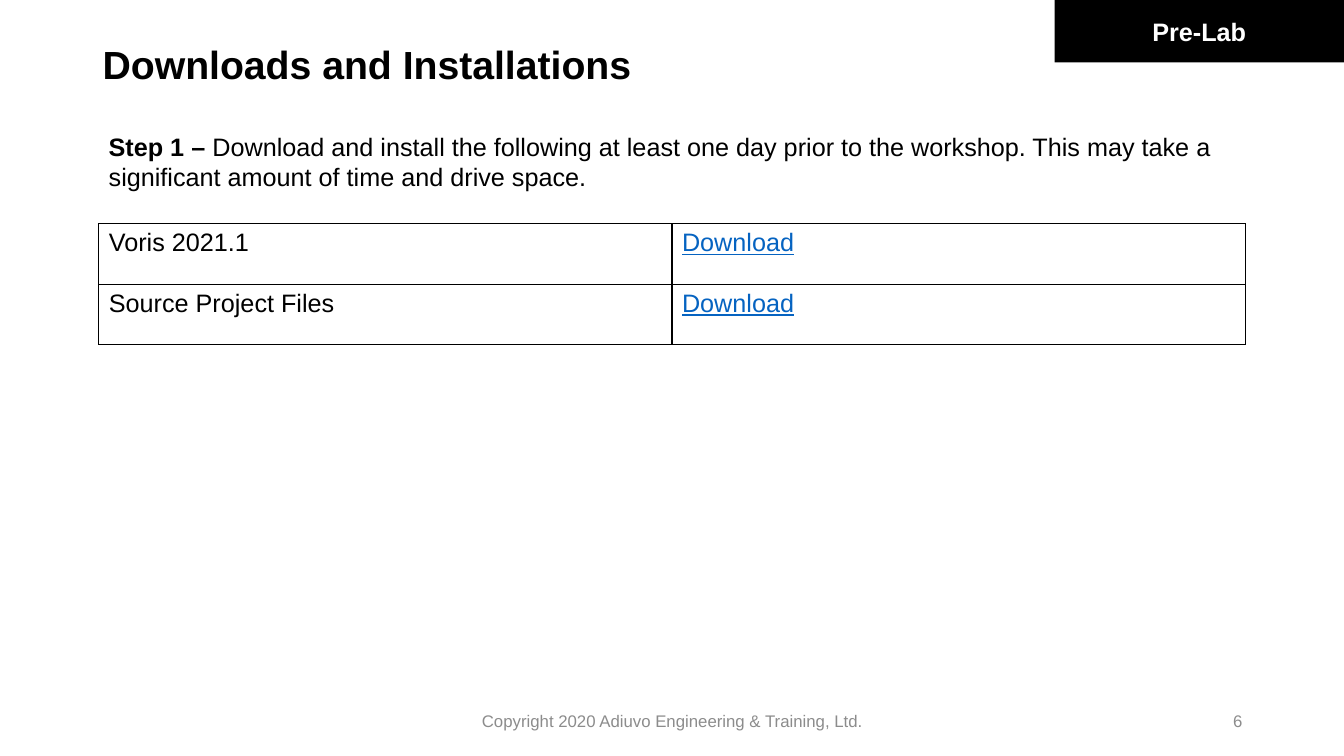
from dataclasses import dataclass

from lxml import etree
from pptx import Presentation
from pptx.dml.color import RGBColor
from pptx.enum.shapes import MSO_SHAPE
from pptx.enum.text import MSO_ANCHOR, PP_ALIGN
from pptx.oxml.ns import qn
from pptx.util import Inches, Pt

RECT = MSO_SHAPE.RECTANGLE
TOP, MIDDLE = MSO_ANCHOR.TOP, MSO_ANCHOR.MIDDLE
LEFT, CENTER, RIGHT = PP_ALIGN.LEFT, PP_ALIGN.CENTER, PP_ALIGN.RIGHT


@dataclass(frozen=True)
class Theme:
    font: str = "Arial"
    black: str = "000000"
    white: str = "FFFFFF"
    link: str = "0563C1"
    muted: str = "8C8C8C"
    title: int = 28
    body: int = 18
    footer: int = 12
    border: int = 1


THEME = Theme()
DOWNLOADS = [("Voris 2021.1", "Download"), ("Source Project Files", "Download")]


def style_run(r, size, color, bold=False, underline=False):
    r.font.name = THEME.font
    r.font.size = Pt(size)
    r.font.color.rgb = RGBColor.from_string(color)
    r.font.bold = bold
    r.font.underline = underline


def add_text(s, box, text, size, color, bold=False, align=LEFT, anchor=TOP):
    tb = s.shapes.add_textbox(*map(Inches, box))
    tf = tb.text_frame
    tf.word_wrap = True
    tf.vertical_anchor = anchor
    p = tf.paragraphs[0]
    p.text = text
    p.alignment = align
    style_run(p.runs[0], size, color, bold)
    return p


def add_title(s, box, text):
    p = add_text(s, box, text, THEME.title, THEME.black, bold=True)
    p.line_spacing = 0.9


def add_section_tag(s, box, text):
    sp = s.shapes.add_shape(RECT, *map(Inches, box))
    sp.shadow.inherit = False
    sp.fill.solid()
    sp.fill.fore_color.rgb = RGBColor.from_string(THEME.black)
    sp.line.fill.background()
    tf = sp.text_frame
    tf.vertical_anchor = MIDDLE
    p = tf.paragraphs[0]
    p.text = text
    p.alignment = CENTER
    style_run(p.runs[0], THEME.body, THEME.white, bold=True)


def add_step(s, box, label, instruction):
    p = add_text(s, box, label, THEME.body, THEME.black, bold=True)
    r = p.add_run()
    r.text = instruction
    style_run(r, THEME.body, THEME.black)


def set_borders(cell):
    """Draw all four edges; the lines must precede the cell's fill."""
    tc_pr = cell._tc.get_or_add_tcPr()
    for i, edge in enumerate(("lnL", "lnR", "lnT", "lnB")):
        ln = etree.Element(qn(f"a:{edge}"), w=str(Pt(THEME.border)))
        fill = etree.SubElement(ln, qn("a:solidFill"))
        etree.SubElement(fill, qn("a:srgbClr"), val=THEME.black)
        tc_pr.insert(i, ln)


def add_downloads(s, box, rows):
    table = s.shapes.add_table(len(rows), 2, *map(Inches, box)).table
    table.first_row = False
    table.horz_banding = False
    for i, row in enumerate(rows):
        for j, text in enumerate(row):
            cell = table.cell(i, j)
            cell.fill.background()
            set_borders(cell)
            cell.text = text
            is_link = j == 1
            color = THEME.link if is_link else THEME.black
            style_run(cell.text_frame.paragraphs[0].runs[0], THEME.body, color,
                      underline=is_link)


def add_footer(s, box, notice, number):
    """Centre the notice and put the page number at the right end of the box."""
    left, top, width, height = box
    notice_w, number_w = 4.5, 3
    notice_box = (left + (width - notice_w) / 2, top, notice_w, height)
    number_box = (left + width - number_w, top, number_w, height)
    for part, text, align in ((notice_box, notice, CENTER), (number_box, number, RIGHT)):
        add_text(s, part, text, THEME.footer, THEME.muted, align=align, anchor=MIDDLE)


def main():
    prs = Presentation()
    prs.slide_width, prs.slide_height = Inches(13.33), Inches(7.5)
    s = prs.slides.add_slide(prs.slide_layouts[6])
    add_title(s, (0.92, 0.4, 11.5, 0.62), "Downloads and Installations")
    add_downloads(s, (0.98, 2.22, 11.37, 1.2), DOWNLOADS)
    add_section_tag(s, (10.46, 0, 2.87, 0.62), "Pre-Lab")
    add_footer(s, (0.92, 6.95, 11.5, 0.4),
               "Copyright 2020 Adiuvo Engineering & Training, Ltd.", "6")
    add_step(s, (0.98, 1.25, 11.5, 0.71), "Step 1 – ",
             "Download and install the following at least one day prior to the workshop. "
             "This may take a significant amount of time and drive space.")
    prs.save("out.pptx")


if __name__ == "__main__":
    main()
